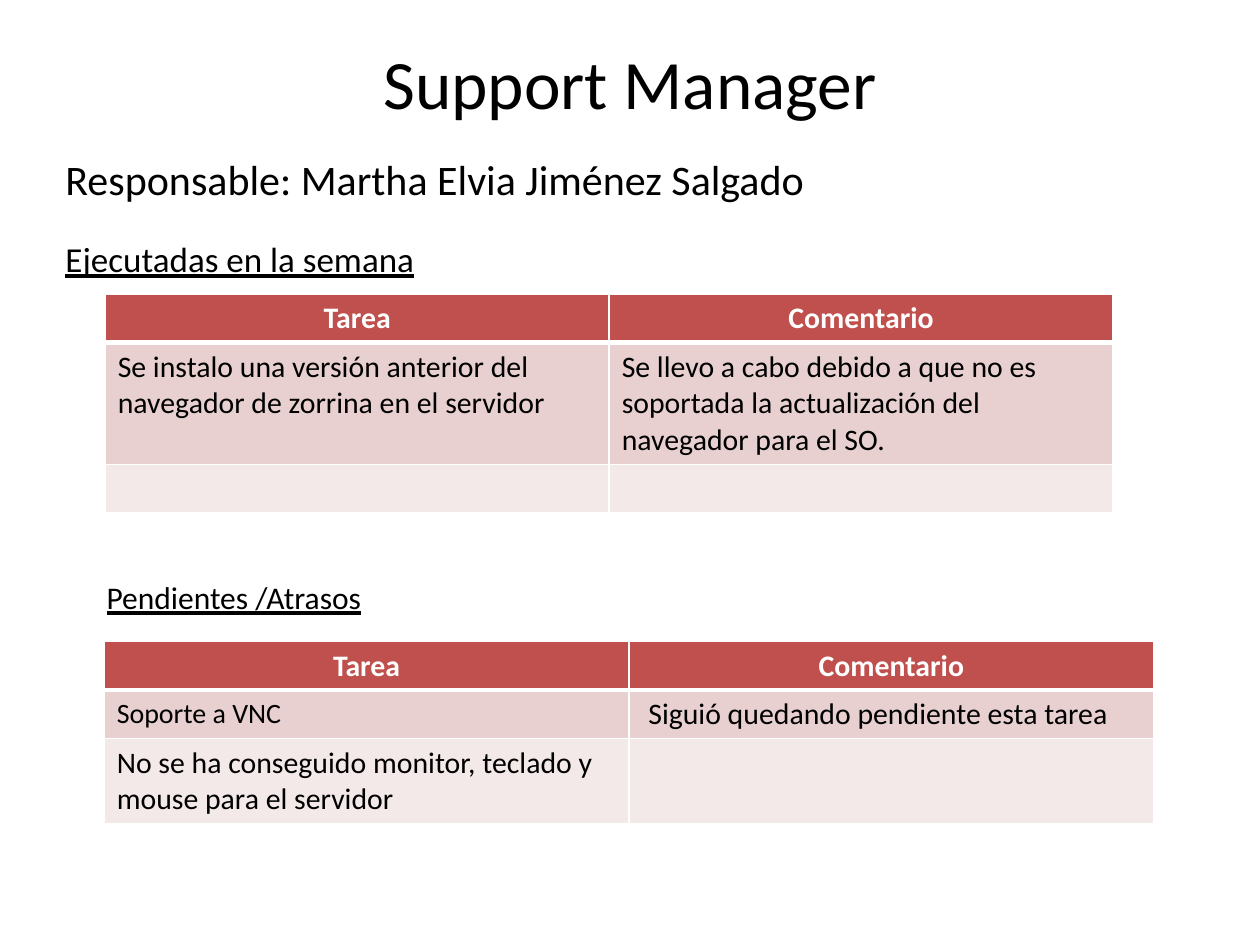
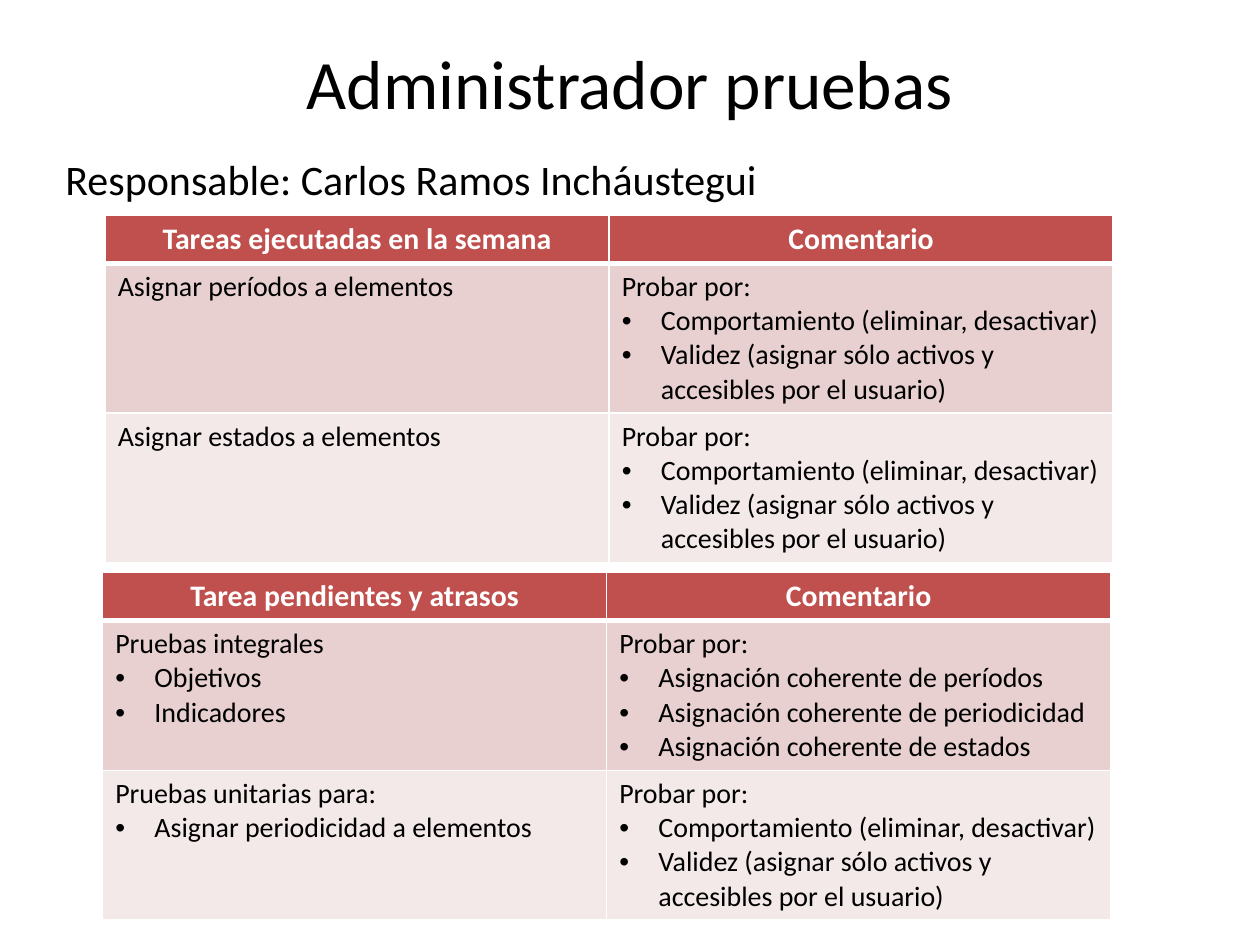
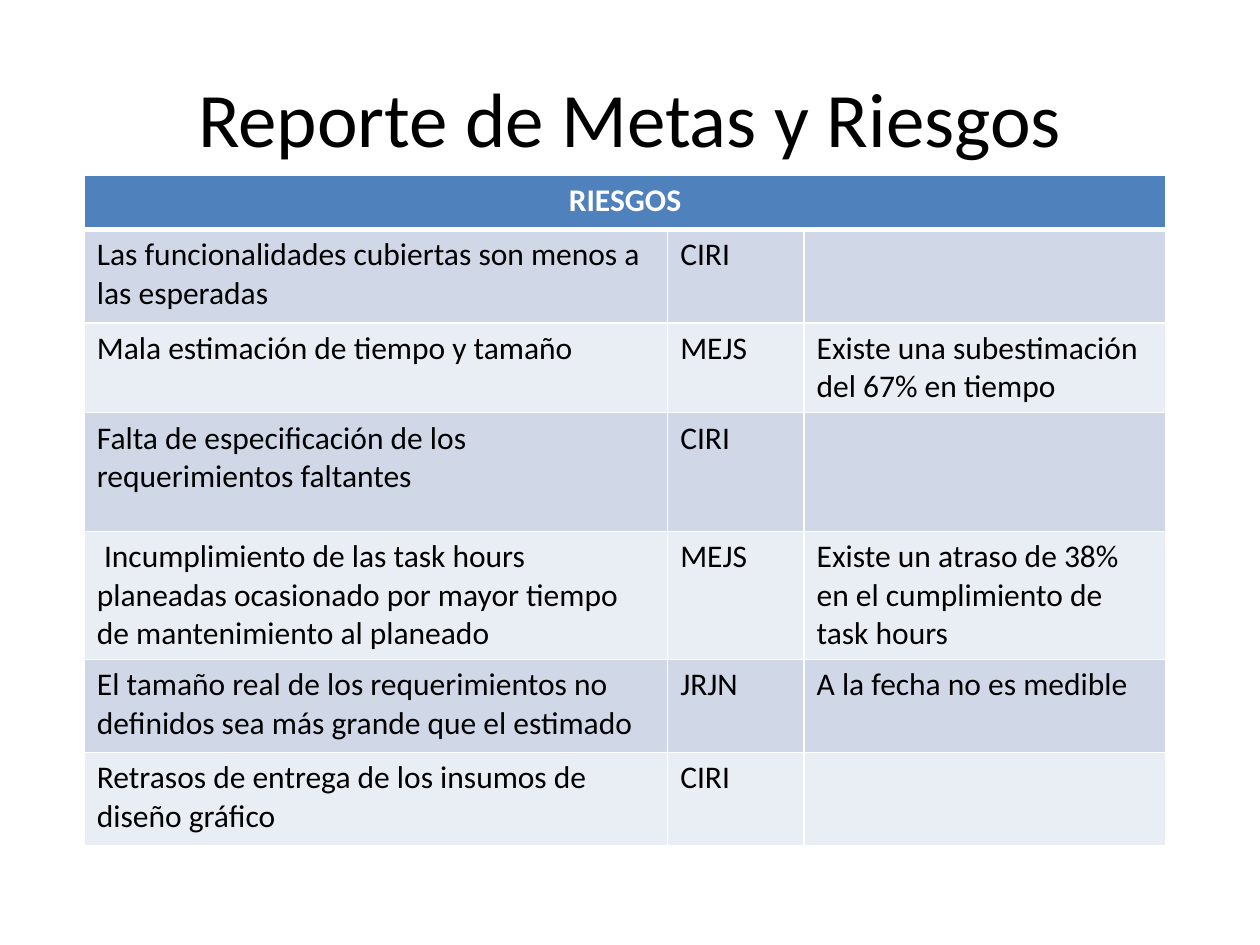
from dataclasses import dataclass
from typing import NamedTuple

from lxml.etree import SubElement
from pptx import Presentation
from pptx.dml.color import RGBColor as RGB
from pptx.enum.text import MSO_ANCHOR as ANCHOR, PP_ALIGN as ALIGN
from pptx.oxml.ns import qn
from pptx.util import Cm, Pt


class Box(NamedTuple):
    left: float
    top: float
    width: float
    height: float


class Palette(NamedTuple):
    header: RGB
    odd: RGB
    even: RGB


@dataclass(frozen=True)
class Theme:
    font: str = "Calibri"
    text: RGB = RGB(0, 0, 0)
    white: RGB = RGB(255, 255, 255)
    red: Palette = Palette(RGB(0xC0, 0x50, 0x4D), RGB(0xE8, 0xD0, 0xD0), RGB(0xF4, 0xE9, 0xE9))
    blue: Palette = Palette(RGB(0x4F, 0x81, 0xBD), RGB(0xD0, 0xD8, 0xE8), RGB(0xE9, 0xED, 0xF4))
    title: float = 39.6
    big_title: float = 44
    owner: float = 24
    section: float = 20
    label: float = 18
    cell: float = 17
    small_cell: float = 16
    risk: float = 18
    thin: float = 1
    thick: float = 3
    bullet_indent: float = 0.79


THEME = Theme()
TITLE_BOX = Box(1.27, 0.76, 22.86, 1.78)
BIG_TITLE_BOX = Box(1.27, 0.76, 22.86, 3.18)
OWNER_BOX = Box(1.07, 2.98, 23.7, 1.37)
CHECKS = ("Probar por:\n• Comportamiento (eliminar, desactivar)\n"
          "• Validez (asignar sólo activos y accesibles por el usuario)")


def style(paragraph, size, color=THEME.text, bold=False, underline=False):
    font = paragraph.font
    font.name, font.size, font.bold = THEME.font, Pt(size), bold
    font.color.rgb = color
    if underline:
        font.underline = True


def add_text_frame(slide, box, wrap=True):
    frame = slide.shapes.add_textbox(*map(Cm, box)).text_frame
    frame.word_wrap = wrap
    return frame


def add_title(slide, text, box=TITLE_BOX, size=THEME.title):
    frame = add_text_frame(slide, box)
    frame.vertical_anchor = ANCHOR.MIDDLE
    title = frame.paragraphs[0]
    title.text, title.alignment = text, ALIGN.CENTER
    style(title, size)


def add_owner(slide, name, section=None, box=OWNER_BOX):
    """Names the person in charge, with an optional underlined section below."""
    frame = add_text_frame(slide, box)
    owner = frame.paragraphs[0]
    owner.text = f"Responsable: {name}"
    style(owner, THEME.owner)
    if section:
        heading = frame.add_paragraph()
        heading.text, heading.space_before = section, Pt(19)
        style(heading, THEME.section, underline=True)


def add_label(slide, text, box):
    label = add_text_frame(slide, box, wrap=False).paragraphs[0]
    label.text = text
    style(label, THEME.label, underline=True)


def add_bullet(paragraph):
    props = paragraph._p.get_or_add_pPr()
    indent = Cm(THEME.bullet_indent)
    props.set("marL", str(indent))
    props.set("indent", str(-indent))
    SubElement(props, qn("a:buFont"), typeface="Arial")
    SubElement(props, qn("a:buChar"), char="•")


def set_borders(cell, row):
    """Draws white rules, the one under the header row being thick."""
    widths = {"L": THEME.thin, "R": THEME.thin,
              "T": THEME.thick if row == 1 else THEME.thin,
              "B": THEME.thick if row == 0 else THEME.thin}
    props = cell._tc.get_or_add_tcPr()
    for side, width in widths.items():
        line = SubElement(props, qn(f"a:ln{side}"), w=str(Pt(width)))
        fill = SubElement(line, qn("a:solidFill"))
        SubElement(fill, qn("a:srgbClr"), val=str(THEME.white))


def fill_cell(cell, text, row, palette, size):
    """Writes one paragraph per line; a line that starts with • is a bullet."""
    set_borders(cell, row)
    cell.fill.solid()
    cell.fill.fore_color.rgb = palette.header if row == 0 else (palette.even, palette.odd)[row % 2]
    for index, line in enumerate(text.split("\n")):
        frame = cell.text_frame
        paragraph = frame.add_paragraph() if index else frame.paragraphs[0]
        if line.startswith("• "):
            add_bullet(paragraph)
        paragraph.text = line.removeprefix("• ")
        if row == 0:
            paragraph.alignment = ALIGN.CENTER
        style(paragraph, size, THEME.text if row else THEME.white, bold=row == 0)


def add_grid(slide, left, top, widths, heights, rows, palette=THEME.red,
             header_size=THEME.cell, body_size=THEME.cell, sizes=None):
    """Adds a banded table; sizes maps (row, column) to a type size of its own."""
    box = Box(left, top, sum(widths), sum(heights))
    grid = slide.shapes.add_table(len(rows), len(widths), *map(Cm, box)).table
    for column, width in zip(grid.columns, widths):
        column.width = Cm(width)
    for row, height in zip(grid.rows, heights):
        row.height = Cm(height)
    for r, texts in enumerate(rows):
        for c, text in enumerate(texts):
            size = (sizes or {}).get((r, c), body_size if r else header_size)
            fill_cell(grid.cell(r, c), text, r, palette, size)
    return grid


def build_support(slide):
    add_title(slide, "Support Manager")
    add_owner(slide, "Martha Elvia Jiménez Salgado", "Ejecutadas en la semana",
              OWNER_BOX._replace(height=3.18))
    header = ("Tarea", "Comentario")
    add_grid(slide, 2.12, 5.93, [10.16] * 2, [0.98, 2.45, 0.98], [
        header,
        ("Se instalo una versión anterior del navegador de zorrina en el servidor",
         "Se llevo a cabo debido a que no es soportada la actualización del navegador para el SO."),
        ("", "")])
    add_grid(slide, 2.1, 12.93, [10.58] * 2, [0.98, 0.98, 1.72], [
        header,
        ("Soporte a VNC", " Siguió quedando pendiente esta tarea"),
        ("No se ha conseguido monitor, teclado y mouse para el servidor", "")],
        sizes={(1, 0): THEME.small_cell})
    add_label(slide, "Pendientes /Atrasos", Box(1.9, 11.53, 5.7, 1.02))


def build_testing(slide):
    add_title(slide, "Administrador pruebas")
    add_owner(slide, "Carlos Ramos Incháustegui")
    done = [("Tareas ejecutadas en la semana", "Comentario"),
            ("Asignar períodos a elementos", CHECKS),
            ("Asignar estados a elementos", CHECKS)]
    pending = [("Tarea pendientes y atrasos", "Comentario"),
               ("Pruebas integrales\n• Objetivos\n• Indicadores",
                "Probar por:\n• Asignación coherente de períodos\n"
                "• Asignación coherente de periodicidad\n• Asignación coherente de estados"),
               ("Pruebas unitarias para:\n• Asignar periodicidad a elementos", CHECKS)]
    for left, top, tasks in ((2.12, 4.33, done), (2.07, 11.53, pending)):
        add_grid(slide, left, top, [10.16] * 2, [0.98, 3.02, 3.02], tasks,
                 body_size=THEME.small_cell)


def build_risks(slide):
    add_title(slide, "Reporte de Metas y Riesgos", BIG_TITLE_BOX, THEME.big_title)
    risks = add_grid(slide, 1.7, 3.54, [11.76, 2.75, 7.29],
                     [1.09, 1.88, 1.81, 2.39, 2.58, 1.88, 1.88], [
        ("RIESGOS", "", ""),
        ("Las funcionalidades cubiertas son menos a las esperadas", "CIRI", ""),
        ("Mala estimación de tiempo y tamaño", "MEJS",
         "Existe una subestimación del 67% en tiempo"),
        ("Falta de especificación de los requerimientos faltantes", "CIRI", ""),
        (" Incumplimiento de las task hours planeadas ocasionado por mayor tiempo "
         "de mantenimiento al planeado", "MEJS",
         "Existe un atraso de 38% en el cumplimiento de task hours"),
        ("El tamaño real de los requerimientos no definidos sea más grande que el estimado",
         "JRJN", "A la fecha no es medible"),
        ("Retrasos de entrega de los insumos de diseño gráfico", "CIRI", "")],
        THEME.blue, THEME.risk, THEME.risk)
    risks.cell(0, 0).merge(risks.cell(0, 2))


def main():
    deck = Presentation()
    deck.slide_width, deck.slide_height = Cm(25.4), Cm(19.05)
    blank = deck.slide_layouts[6]
    for build in (build_support, build_testing, build_risks):
        build(deck.slides.add_slide(blank))
    deck.save("out.pptx")


if __name__ == "__main__":
    main()
